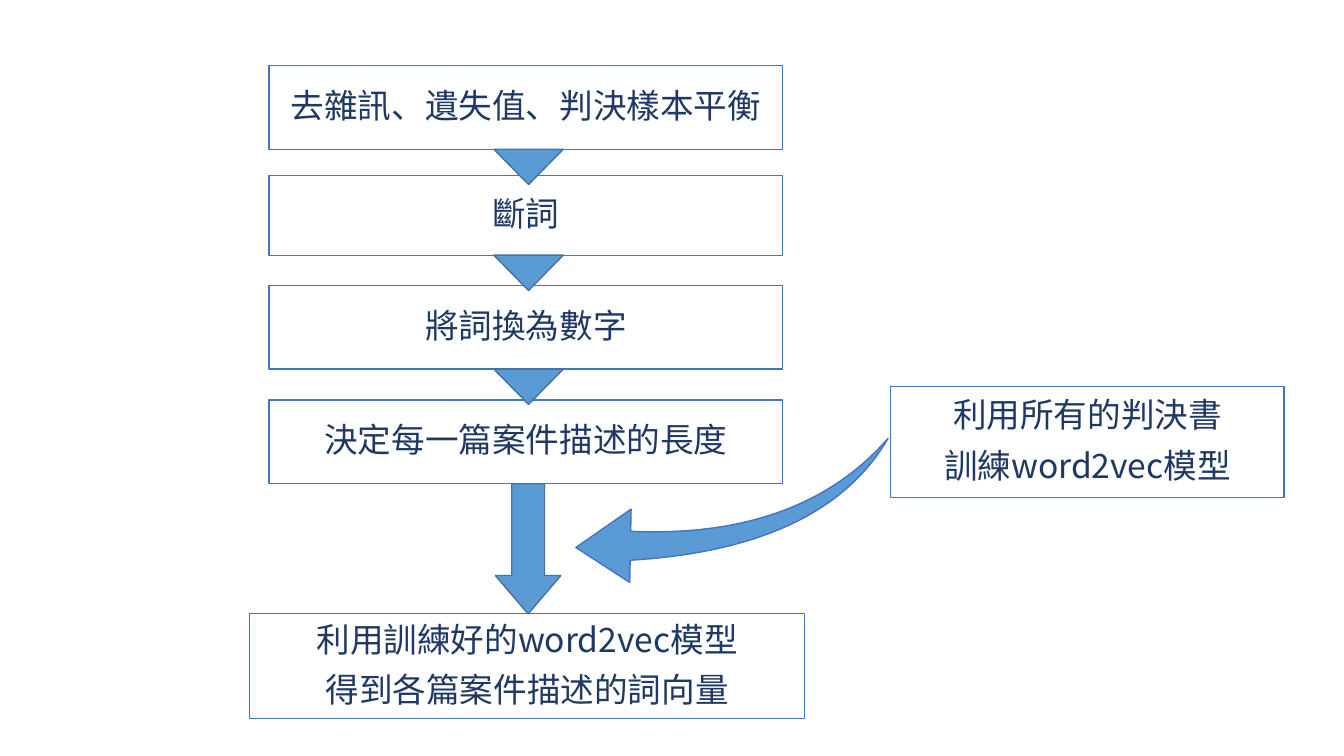
"""Build a flowchart slide on preparing case descriptions as word vectors."""
from lxml import etree
from pptx import Presentation
from pptx import util as u
from pptx.dml import color
from pptx.enum import shapes, text
from pptx.oxml import ns

FONT = "Noto Sans CJK SC"
NAVY, BLUE, SKY, STEEL = "203864", "4472C4", "5B9BD5", "43739E"
STEPS = [
    ("去雜訊、遺失值、判決樣本平衡", 1.65, 2.11),
    ("斷詞", 4.42, 2.01),
    ("將詞換為數字", 7.19, 2.11),
    ("決定每一篇案件描述的長度", 10.08, 2.11),
]


def rgb(value):
    """Return the colour for a hex string."""
    return color.RGBColor.from_string(value)


def add_outlined(slide, kind, box, line, width, fill=None):
    """Add a preset shape in a box of centimetres."""
    shape = slide.shapes.add_shape(kind, *[u.Cm(length) for length in box])
    shape.shadow.inherit = False
    shape.line.color.rgb = rgb(line)
    shape.line.width = u.Pt(width)
    if fill:
        shape.fill.solid()
        shape.fill.fore_color.rgb = rgb(fill)
    else:
        shape.fill.background()
    return shape


def add_label_box(slide, box, lines):
    """Add an outlined rectangle with one centred paragraph per line."""
    shape = add_outlined(slide, shapes.MSO_SHAPE.RECTANGLE, box, BLUE, 0.75)
    frame = shape.text_frame
    frame.word_wrap = True
    frame.vertical_anchor = text.MSO_ANCHOR.MIDDLE
    frame.text = "\n".join(lines)
    for paragraph in frame.paragraphs:
        paragraph.alignment = text.PP_ALIGN.CENTER
        paragraph.line_spacing = 0.9
        paragraph.space_before = u.Pt(10)
        for run in paragraph.runs:
            run.font.size = u.Pt(24)
            run.font.color.rgb = rgb(NAVY)
            run.font.name = FONT
            east_asian = etree.SubElement(run.font._element, ns.qn("a:ea"))
            east_asian.set("typeface", FONT)


def add_arrow(slide, kind, box, line=STEEL, rotation=0, adjustments=()):
    """Add a filled arrow or arrowhead."""
    arrow = add_outlined(slide, kind, box, line, 1, SKY)
    arrow.rotation = rotation
    for index, value in enumerate(adjustments):
        arrow.adjustments[index] = value


def add_step_column(slide, left, width):
    """Add the stacked steps, then the arrowheads between them."""
    for label, top, height in STEPS:
        add_label_box(slide, (left, top, width, height), [label])
    middle = left + width / 2 + 0.06
    for _, top, height in STEPS[:-1]:
        add_arrow(slide, shapes.MSO_SHAPE.ISOSCELES_TRIANGLE,
                  (middle - 0.87, top + height, 1.75, 0.89), rotation=180)
    _, top, height = STEPS[-1]
    add_arrow(slide, shapes.MSO_SHAPE.DOWN_ARROW,
              (middle - 0.83, top + height, 1.65, 3.28), adjustments=(0.5, 0.585))


def add_model_branch(slide, left, top):
    """Add the model training box and the curved arrow leaving it."""
    add_label_box(slide, (left, top, 9.91, 2.82),
                  ["利用所有的判決書", "訓練word2vec模型"])
    add_arrow(slide, shapes.MSO_SHAPE.SWOOSH_ARROW,
              (left - 7.77, top + 0.81, 7.44, 4.45), BLUE, 187.5, (0.163, 0.314))


def build():
    """Build and save the slide."""
    presentation = Presentation()
    presentation.slide_width = u.Cm(33.87)
    presentation.slide_height = u.Cm(19.05)
    slide = presentation.slides.add_slide(
        presentation.slide_layouts.get_by_name("Blank"))
    add_step_column(slide, 6.78, 12.95)
    add_model_branch(slide, 22.45, 9.73)
    add_label_box(slide, (6.3, 15.47, 13.97, 2.64),
                  ["利用訓練好的word2vec模型", "得到各篇案件描述的詞向量"])
    presentation.save("out.pptx")


build()
